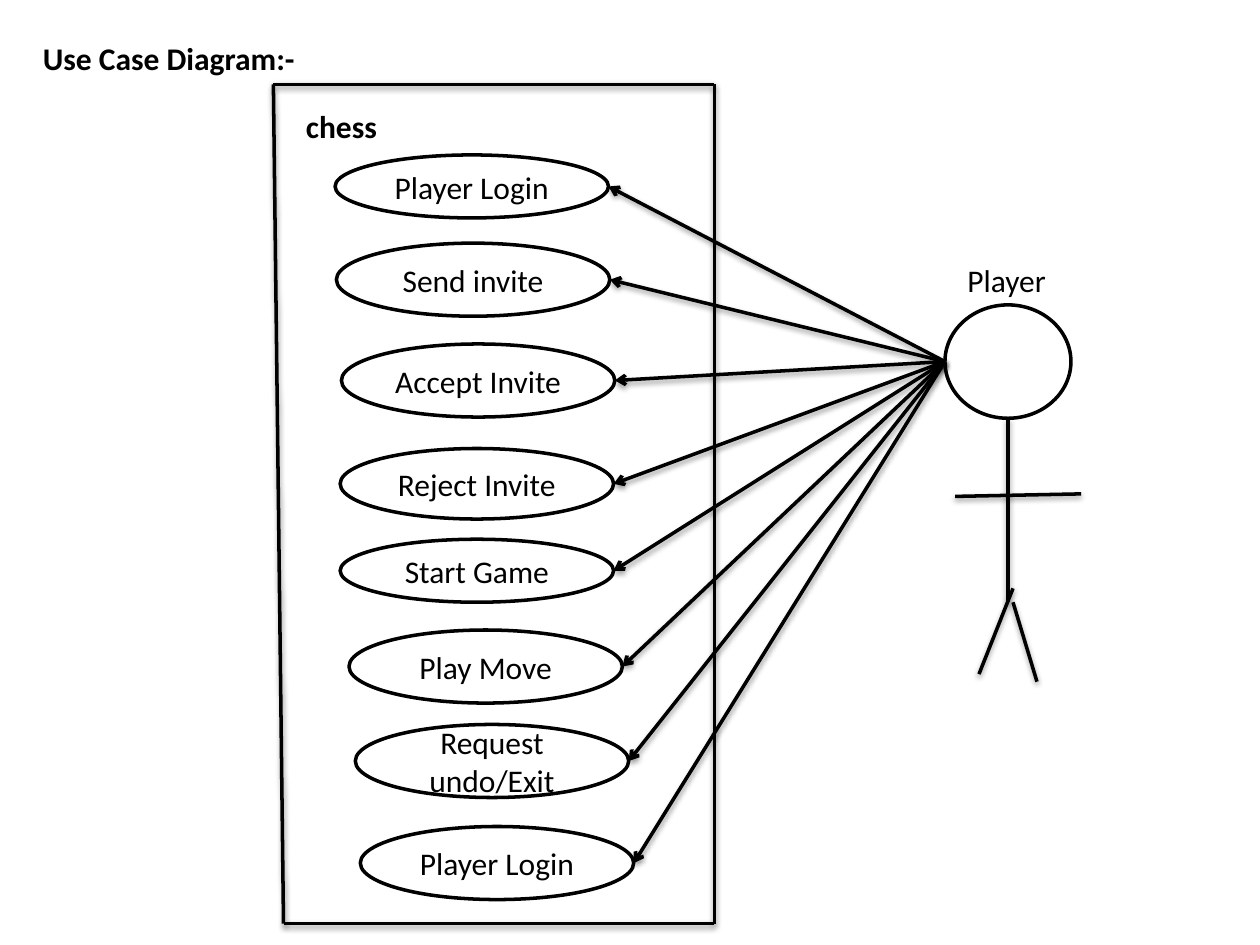
from pptx import Presentation
from pptx.dml.color import RGBColor
from pptx.enum.shapes import MSO_CONNECTOR as Connector, MSO_SHAPE as Shape
from pptx.enum.text import MSO_ANCHOR as Anchor, MSO_AUTO_SIZE as AutoSize, PP_ALIGN as Align
from pptx.oxml.ns import qn
from pptx.util import Inches, Pt
from lxml.etree import SubElement

COLORS = {"ink": "000000", "paper": "FFFFFF"}
# Label, left and top within the system box, height
USE_CASES = [
    ("Player Login", 0.49, 0.56, 0.50),
    ("Send invite", 0.50, 1.26, 0.58),
    ("Accept Invite", 0.54, 2.06, 0.58),
    ("Reject Invite", 0.53, 2.89, 0.56),
    ("Start Game", 0.53, 3.61, 0.50),
    ("Play Move", 0.60, 4.33, 0.58),
    ("Request undo/Exit", 0.65, 5.08, 0.58),
    ("Player Login", 0.69, 5.89, 0.58),
]
CASE_WIDTH = 2.17


def color(name):
    """Return a palette colour."""
    return RGBColor.from_string(COLORS[name])


def style_text(frame, text, align=Align.LEFT, bold=False):
    """Write one line of text in the slide's type style."""
    frame.text = text
    para = frame.paragraphs[0]
    para.alignment = align
    para.font.name = "Calibri"
    para.font.size = Pt(18)
    para.font.bold = bold
    para.font.color.rgb = color("ink")


def fit_label(shape, box, text, bold=False):
    """Place a text shape that grows with its single line."""
    shape.left, shape.top, shape.width, shape.height = map(Inches, box)
    frame = shape.text_frame
    style_text(frame, text, bold=bold)
    frame.word_wrap = False
    frame.auto_size = AutoSize.SHAPE_TO_FIT_TEXT
    frame.vertical_anchor = Anchor.TOP


def add_label(page, box, text, bold=False):
    """Add a one-line text box."""
    fit_label(page.shapes.add_textbox(*map(Inches, box)), box, text, bold)


def add_ellipse(page, box, text=""):
    """Add an outlined ellipse, with a centred caption if given."""
    ellipse = page.shapes.add_shape(Shape.OVAL, *map(Inches, box))
    ellipse.shadow.inherit = False
    ellipse.fill.solid()
    ellipse.fill.fore_color.rgb = color("paper")
    ellipse.line.color.rgb = color("ink")
    ellipse.line.width = Pt(2)
    if text:
        style_text(ellipse.text_frame, text, Align.CENTER)
        ellipse.text_frame.vertical_anchor = Anchor.MIDDLE


def add_line(page, start, end, arrow=False):
    """Draw a line with the theme's soft shadow, optionally with an arrowhead."""
    line = page.shapes.add_connector(Connector.STRAIGHT, *map(Inches, (*start, *end)))
    line.line.color.rgb = color("ink")
    line.line.width = Pt(2)
    if arrow:
        SubElement(line.line._get_or_add_ln(), qn("a:tailEnd"), type="arrow")


def add_use_cases(page, left, top):
    """Add the use case ellipses and return their right-hand points."""
    ports = []
    for text, x, y, height in USE_CASES:
        add_ellipse(page, (left + x, top + y, CASE_WIDTH, height), text)
        ports.append((left + x + CASE_WIDTH, top + y + height / 2))
    return ports


def add_system_border(page, left, top, width, height):
    """Draw the system border, whose left side slants, and its name."""
    right, bottom = left + width, top + height
    corners = [(left, top), (right, top), (right, bottom), (left + 0.08, bottom)]
    for start, end in zip(corners, corners[1:] + corners[:1]):
        add_line(page, start, end)
    add_label(page, (left + 0.16, top + 0.13, 0.8, 0.4), "chess", bold=True)


def add_player(page, left, top):
    """Draw the stick figure and return the point where its arrows start."""
    add_ellipse(page, (left, top, 1, 0.9))
    limbs = [
        ((0.50, 0.90), (0.50, 2.36)),
        ((0.08, 1.52), (1.08, 1.50)),
        ((0.54, 2.25), (0.27, 2.93)),
        ((0.54, 2.36), (0.73, 2.99)),
    ]
    for limb in limbs:
        add_line(page, *((left + x, top + y) for x, y in limb))
    add_label(page, (left + 0.08, top - 0.4, 0.83, 0.4), "Player")
    return left, top + 0.45


def build_use_case_slide(deck):
    """Build the use case diagram slide."""
    page = deck.slides.add_slide(deck.slide_layouts[5])
    fit_label(page.shapes.title, (0.24, 0.26, 2.22, 0.4), "Use Case Diagram:-", bold=True)
    ports = add_use_cases(page, 2.17, 0.67)
    hub = add_player(page, 7.5, 2.42)
    for port in ports:
        add_line(page, hub, port, arrow=True)
    add_system_border(page, 2.17, 0.67, 3.5, 6.66)


deck = Presentation()
deck.slide_width, deck.slide_height = Inches(10), Inches(7.5)
build_use_case_slide(deck)
deck.save("out.pptx")
